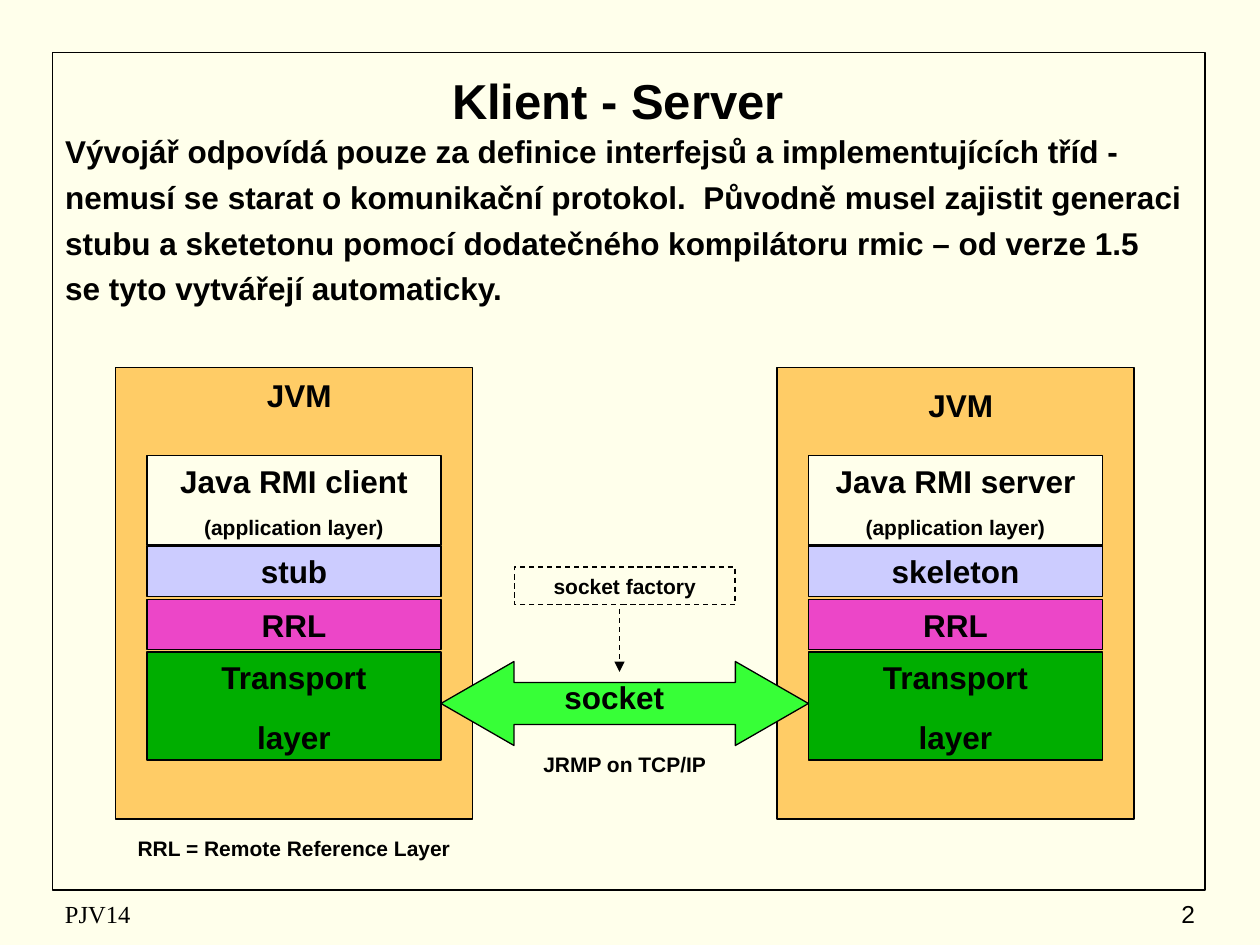
from typing import NamedTuple

from lxml.etree import SubElement
from pptx import Presentation
from pptx.dml.color import RGBColor
from pptx.enum.dml import MSO_LINE
from pptx.enum.shapes import MSO_CONNECTOR, MSO_SHAPE
from pptx.enum.text import MSO_ANCHOR, MSO_AUTO_SIZE, PP_ALIGN as Align
from pptx.oxml.ns import qn
from pptx.util import Pt

PX = 7620  # EMU in one px, 120 px to the inch

BLACK = RGBColor(0x00, 0x00, 0x00)
CREAM = RGBColor(0xFF, 0xFF, 0xEB)
ORANGE = RGBColor(0xFF, 0xCC, 0x66)
LILAC = RGBColor(0xCC, 0xCC, 0xFF)
PINK = RGBColor(0xEC, 0x46, 0xC8)
DARK_GREEN = RGBColor(0x00, 0xAE, 0x00)
LIME = RGBColor(0x37, 0xFF, 0x37)


class Box(NamedTuple):
    x: int
    y: int
    w: int
    h: int

    def emu(self) -> list[int]:
        return [length * PX for length in self]


class Layer(NamedTuple):
    y: int
    h: int
    fill: RGBColor
    lines: list[str]
    sizes: tuple[int, ...] = (18,)


class Machine(NamedTuple):
    x: int
    label_y: int
    role: str
    proxy: str


def write(shape, lines: list[str], sizes=(18,), align=Align.CENTER, bold=True,
          font="Arial", anchor=MSO_ANCHOR.TOP, gap=0.69, leading=1.2) -> None:
    """Fill a shape with paragraphs; gap and leading are relative to the size."""
    frame = shape.text_frame
    frame.word_wrap = True
    frame.auto_size = MSO_AUTO_SIZE.NONE
    frame.vertical_anchor = anchor
    for number, line in enumerate(lines):
        paragraph = frame.add_paragraph() if number else frame.paragraphs[0]
        size = sizes[min(number, len(sizes) - 1)]
        props = paragraph._p.get_or_add_pPr()
        props.set("marL", "0")
        props.set("indent", "0")
        SubElement(props, qn("a:buNone"))
        paragraph.alignment = align
        paragraph.space_before = Pt(round(size * gap, 2) if number else 0)
        paragraph.line_spacing = Pt(round(size * leading, 2))
        run = paragraph.add_run()
        run.text = line
        run.font.size = Pt(size)
        run.font.name = font
        run.font.bold = bold
        run.font.color.rgb = BLACK


def add_block(slide, box: Box, fill: RGBColor | None = None,
              kind=MSO_SHAPE.RECTANGLE, line_width=0.75):
    block = slide.shapes.add_shape(kind, *box.emu())
    block.shadow.inherit = False
    if fill is None:
        block.fill.background()
    else:
        block.fill.solid()
        block.fill.fore_color.rgb = fill
    block.line.color.rgb = BLACK
    block.line.width = Pt(line_width)
    return block


def add_label(slide, box: Box, text: str, size=18, **text_format) -> None:
    write(slide.shapes.add_textbox(*box.emu()), [text], (size,), **text_format)


def fill_placeholder(placeholder, box: Box, lines: list[str], **text_format) -> None:
    placeholder.left, placeholder.top, placeholder.width, placeholder.height = box.emu()
    write(placeholder, lines, **text_format)


def add_machine(slide, machine: Machine) -> None:
    """Draw one JVM with its stack of layers."""
    add_block(slide, Box(machine.x, 350, 340, 430), ORANGE)
    add_label(slide, Box(machine.x + 40, machine.label_y, 270, 48), "JVM")
    layers = [
        Layer(434, 85, CREAM, [f"Java RMI {machine.role}", "(application layer)"], (18, 12)),
        Layer(520, 48, LILAC, [machine.proxy]),
        Layer(571, 48, PINK, ["RRL"]),
        Layer(621, 103, DARK_GREEN, ["Transport", "layer"]),
    ]
    for layer in layers:
        block = add_block(slide, Box(machine.x + 30, layer.y, 280, layer.h), layer.fill)
        write(block, layer.lines, layer.sizes)


def add_dashed_arrow(slide, x: int, top: int, bottom: int) -> None:
    arrow = slide.shapes.add_connector(
        MSO_CONNECTOR.STRAIGHT, x * PX, top * PX, x * PX, bottom * PX)
    arrow.line.color.rgb = BLACK
    arrow.line.width = Pt(0.75)
    arrow.line.dash_style = MSO_LINE.DASH
    SubElement(arrow.line._get_or_add_ln(), qn("a:tailEnd"), type="triangle")
    SubElement(arrow._element.spPr, qn("a:effectLst"))


def main() -> None:
    deck = Presentation()
    deck.slide_width, deck.slide_height = 1200 * PX, 900 * PX
    slide = deck.slides.add_slide(deck.slide_layouts[1])
    slide.background.fill.solid()
    slide.background.fill.fore_color.rgb = CREAM

    # Frame, title and introduction
    add_block(slide, Box(50, 50, 1098, 798), line_width=1)
    title, body = slide.placeholders
    fill_placeholder(title, Box(60, 60, 1070, 70), ["Klient - Server "],
                     sizes=(28,), anchor=MSO_ANCHOR.MIDDLE)
    fill_placeholder(body, Box(50, 120, 1100, 180), [
        "Vývojář odpovídá pouze za definice interfejsů a implementujících tříd -",
        "nemusí se starat o komunikační protokol.  Původně musel zajistit generaci",
        "stubu a sketetonu pomocí dodatečného kompilátoru rmic – od verze 1.5",
        "se tyto vytvářejí automaticky.",
    ], align=Align.LEFT, gap=0.25)

    # Client and server machines
    add_machine(slide, Machine(110, 352, "client", "stub"))
    add_machine(slide, Machine(740, 362, "server", "skeleton"))

    # Socket between the transport layers
    socket = add_block(slide, Box(420, 630, 350, 80), LIME, MSO_SHAPE.LEFT_RIGHT_ARROW)
    socket.adjustments[0], socket.adjustments[1] = 0.5, 0.87
    add_label(slide, Box(510, 640, 150, 48), "socket")
    add_label(slide, Box(490, 710, 210, 36), "JRMP on TCP/IP", 12)

    # Socket factory
    factory = add_block(slide, Box(490, 540, 210, 36))
    factory.line.dash_style = MSO_LINE.DASH
    write(factory, ["socket factory"], (12,))
    add_dashed_arrow(slide, 590, 580, 640)

    # Legend and footer
    add_label(slide, Box(100, 790, 360, 36), "RRL = Remote Reference Layer", 12)
    add_label(slide, Box(50, 850, 380, 40), "PJV14", 14, align=Align.LEFT,
              bold=False, font="Times New Roman", anchor=MSO_ANCHOR.MIDDLE)
    add_label(slide, Box(900, 850, 250, 40), "2", 14, align=Align.RIGHT,
              bold=False, anchor=MSO_ANCHOR.MIDDLE)

    deck.save("out.pptx")


if __name__ == "__main__":
    main()
